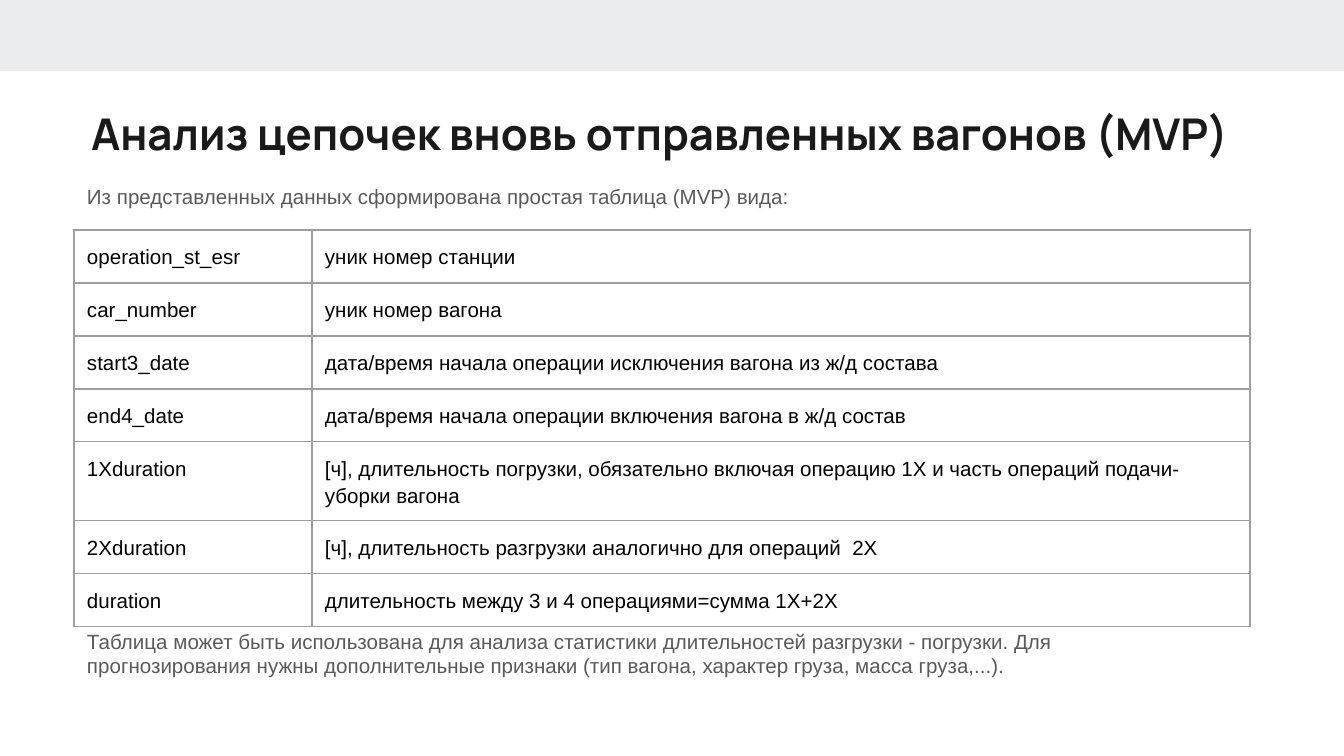
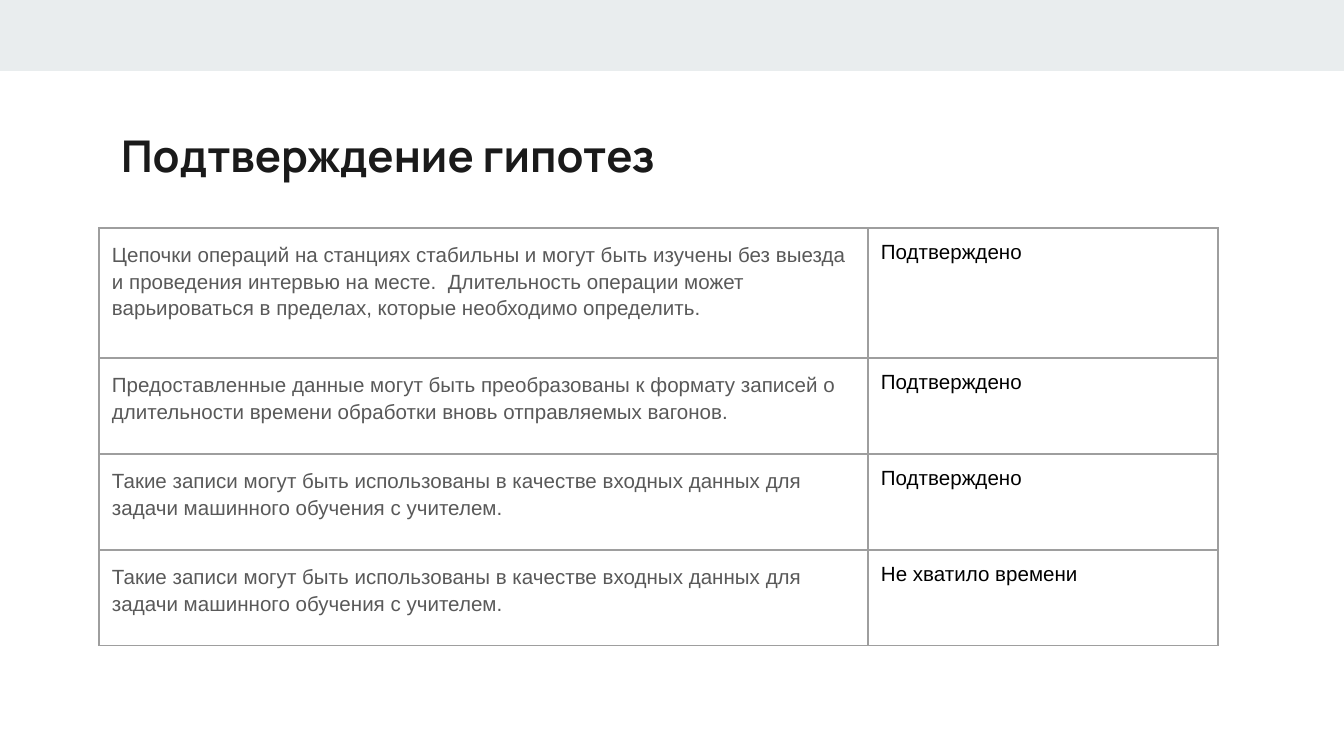
from lxml import etree
from pptx import Presentation
from pptx.dml.color import RGBColor
from pptx.enum.shapes import MSO_SHAPE as SHAPE
from pptx.enum.text import MSO_ANCHOR as ANCHOR, MSO_AUTO_SIZE as AUTOSIZE, PP_ALIGN as ALIGN
from pptx.oxml.ns import qn
from pptx.util import Emu, Pt

# Content; boxes are left, top, width, height in px
FIELDS = {
    "title": ("Анализ цепочек вновь отправленных вагонов (MVP)", (78, 94, 1168, 79)),
    "notes": [
        ("Из представленных данных сформирована простая таблица (MVP) вида:",
         (74, 173, 1141, 56)),
        ("Таблица может быть использована для анализа статистики длительностей разгрузки - погрузки. "
         "Для прогнозирования нужны дополнительные признаки (тип вагона, характер груза, масса груза,...).",
         (74, 618, 1141, 79)),
    ],
    "corner": (74, 230),
    "cols": [238, 938],
    "heights": [53, 53, 53, 53, 79, 53, 53],
    "styles": ["field", "field"],
    "rows": [
        ("operation_st_esr", "уник номер станции"),
        ("car_number", "уник номер вагона"),
        ("start3_date", "дата/время начала операции исключения вагона из ж/д состава"),
        ("end4_date", "дата/время начала операции включения вагона в ж/д состав"),
        ("1Xduration", "[ч], длительность погрузки, обязательно включая операцию 1Х "
                       "и часть операций подачи-уборки вагона"),
        ("2Xduration", "[ч], длительность разгрузки аналогично для операций  2Х"),
        ("duration", "длительность между 3 и 4 операциями=сумма 1Х+2Х"),
    ],
}
LEARNING = ("Такие записи могут быть использованы в качестве входных данных "
            "для задачи машинного обучения с учителем.")
HYPOTHESES = {
    "title": ("Подтверждение гипотез", (108, 116, 1130, 79)),
    "notes": [],
    "corner": (99, 228),
    "cols": [769, 350],
    "heights": [130, 96, 96, 96],
    "styles": ["hypothesis", "verdict"],
    "rows": [
        ("Цепочки операций на станциях стабильны и могут быть изучены без выезда и проведения "
         "интервью на месте.  Длительность операции может варьироваться в пределах, "
         "которые необходимо определить.", "Подтверждено"),
        ("Предоставленные данные могут быть преобразованы к формату записей о длительности "
         "времени обработки вновь отправляемых вагонов.", "Подтверждено"),
        (LEARNING, "Подтверждено"),
        (LEARNING, "Не хватило времени"),
    ],
}

# Shared look
BAND = RGBColor(0xE9, 0xED, 0xEE)
INK = RGBColor(0x1A, 0x1A, 0x1A)
GREY = RGBColor(0x59, 0x59, 0x59)
BLACK = RGBColor(0, 0, 0)
BORDER = RGBColor(0x9E, 0x9E, 0x9E)
WIDTH, HEIGHT, BAND_H, INSET = 1344, 756, 71, 13
# font, size, bold, colour, line spacing, space after
STYLES = {
    "title": ("Manrope", 23.4, True, INK, 1.0, 0),
    "note": ("Arial", 11, False, GREY, 0.95, 12),
    "field": ("Arial", 11, False, BLACK, 1.15, 0),
    "hypothesis": ("Arial", 11, False, GREY, 1.15, 12),
    "verdict": ("Arial", 11, False, BLACK, 1.0, 0),
}


def px(n):
    return Emu(round(n * 914400 / 134.4))


def write(tf, text, style):
    font, size, bold, color, spacing, after = STYLES[style]
    p = tf.paragraphs[0]
    p.alignment = ALIGN.LEFT
    p.line_spacing, p.space_after = spacing, Pt(after)
    r = p.add_run()
    r.text = text
    r.font.name, r.font.size, r.font.bold = font, Pt(size), bold
    r.font.color.rgb = color


def set_insets(holder):
    holder.margin_left = holder.margin_right = px(INSET)
    holder.margin_top = holder.margin_bottom = px(INSET)
    holder.vertical_anchor = ANCHOR.TOP


def fill_box(sp, box, text, style):
    sp.left, sp.top, sp.width, sp.height = map(px, box)
    tf = sp.text_frame
    tf.word_wrap, tf.auto_size = True, AUTOSIZE.NONE
    set_insets(tf)
    write(tf, text, style)


def add_borders(cell):
    tc_pr = cell._tc.get_or_add_tcPr()
    for side in ("lnL", "lnR", "lnT", "lnB"):
        ln = etree.SubElement(tc_pr, qn(f"a:{side}"), w=str(Pt(0.75)))
        solid = etree.SubElement(ln, qn("a:solidFill"))
        etree.SubElement(solid, qn("a:srgbClr"), val=str(BORDER))


def add_grid(s, page):
    cols, heights, rows = page["cols"], page["heights"], page["rows"]
    size = (sum(cols), sum(heights))
    table = s.shapes.add_table(len(rows), len(cols), *map(px, page["corner"] + size)).table
    table.first_row = table.horz_banding = False
    for column, width in zip(table.columns, cols):
        column.width = px(width)
    for row, height, texts in zip(table.rows, heights, rows):
        row.height = px(height)
        for cell, text, style in zip(row.cells, texts, page["styles"]):
            set_insets(cell)
            write(cell.text_frame, text, style)
            add_borders(cell)
            cell.fill.background()


def add_band(s, layout):
    """Place the top band in the layout, behind everything."""
    for ph in list(layout.placeholders)[1:]:
        ph.element.getparent().remove(ph.element)
    band = s.shapes.add_shape(SHAPE.RECTANGLE, 0, 0, px(WIDTH), px(BAND_H))
    band.shadow.inherit = False
    band.fill.solid()
    band.fill.fore_color.rgb = BAND
    band.line.fill.background()
    layout.shapes.element.insert(2, band.element)


def main():
    prs = Presentation()
    prs.slide_width, prs.slide_height = px(WIDTH), px(HEIGHT)
    layout = prs.slide_layouts[5]
    for number, page in enumerate((FIELDS, HYPOTHESES)):
        s = prs.slides.add_slide(layout)
        if number == 0:
            add_band(s, layout)
        text, box = page["title"]
        fill_box(s.shapes.title, box, text, "title")
        add_grid(s, page)
        for text, box in page["notes"]:
            fill_box(s.shapes.add_textbox(0, 0, 0, 0), box, text, "note")
    prs.save("out.pptx")


if __name__ == "__main__":
    main()
